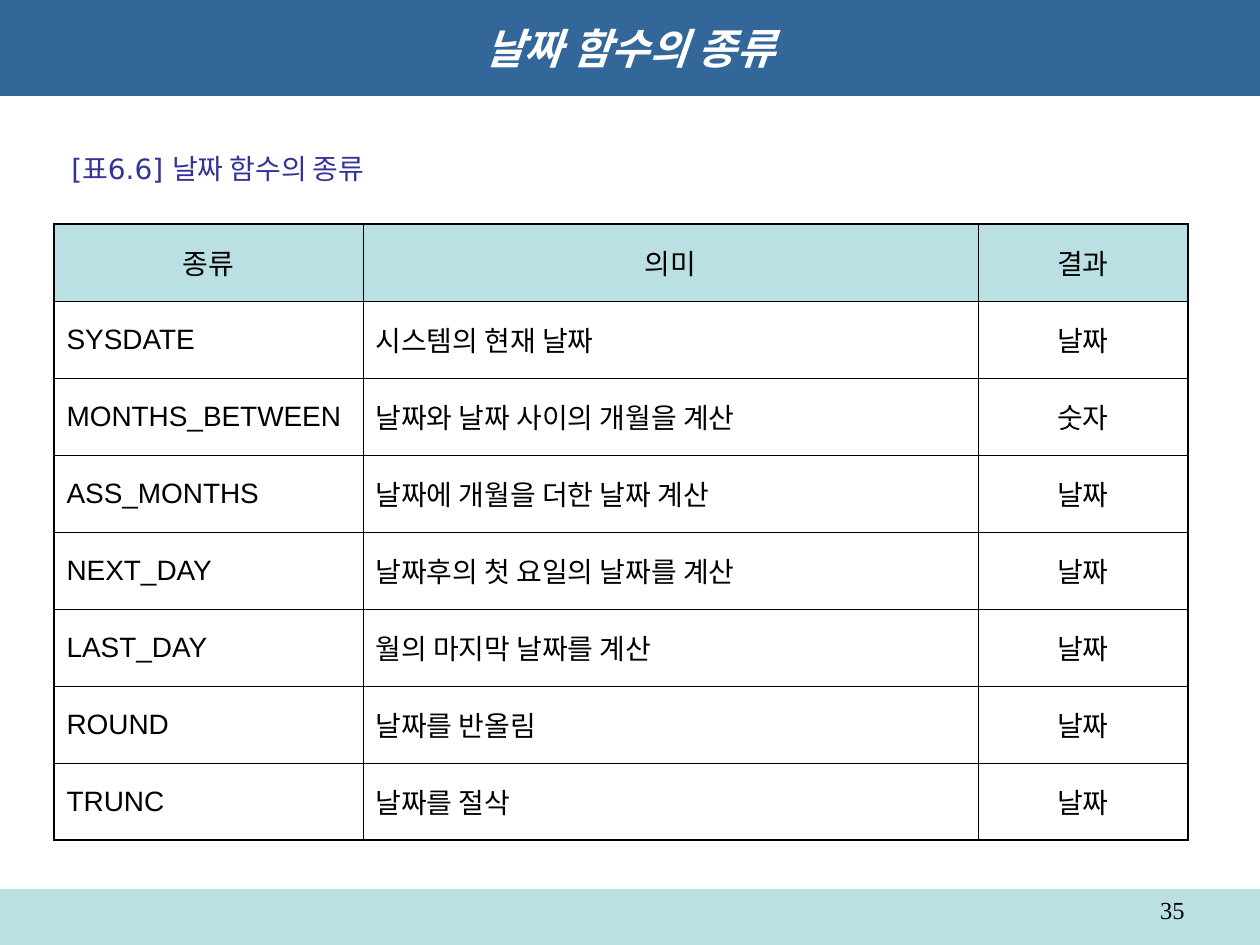
from lxml import etree
from pptx import Presentation
from pptx import util as u
from pptx.dml.color import RGBColor
from pptx.enum import shapes, text
from pptx.oxml.ns import qn

BLUE = RGBColor(0x33, 0x66, 0x99)
PALE = RGBColor(0xBB, 0xE0, 0xE3)
INDIGO = RGBColor(0x33, 0x33, 0x99)
BLACK = RGBColor(0, 0, 0)
WHITE = RGBColor(255, 255, 255)
LEFT, CENTER, RIGHT = text.PP_ALIGN.LEFT, text.PP_ALIGN.CENTER, text.PP_ALIGN.RIGHT
MIDDLE, TOP = text.MSO_ANCHOR.MIDDLE, text.MSO_ANCHOR.TOP

ROWS = [
    ("종류", "의미", "결과"),
    ("SYSDATE", "시스템의 현재 날짜", "날짜"),
    ("MONTHS_BETWEEN", "날짜와 날짜 사이의 개월을 계산", "숫자"),
    ("ASS_MONTHS", "날짜에 개월을 더한 날짜 계산", "날짜"),
    ("NEXT_DAY", "날짜후의 첫 요일의 날짜를 계산", "날짜"),
    ("LAST_DAY", "월의 마지막 날짜를 계산", "날짜"),
    ("ROUND", "날짜를 반올림", "날짜"),
    ("TRUNC", "날짜를 절삭", "날짜"),
]


def px(n):
    return u.Inches(n / 126)


class Deck:
    body_font, heading_font, number_font = "Arial", "DejaVu Sans", "Times New Roman"
    inner, outer = u.Pt(0.45), u.Pt(1.08)

    def __init__(self, prs):
        self.s = prs.slides.add_slide(prs.slide_layouts[5])

    def add_words(self, tf, words, font, size, color, align, bold=False, italic=False):
        p = tf.paragraphs[0]
        p.alignment = align
        r = p.add_run()
        r.text = words
        f = r.font
        f.name, f.size, f.bold, f.italic = font, u.Pt(size), bold, italic
        f.color.rgb = color

    def bar(self, x, y, w, h, color):
        sp = self.s.shapes.add_shape(shapes.MSO_SHAPE.RECTANGLE, px(x), px(y), px(w), px(h))
        sp.shadow.inherit = False
        sp.fill.solid()
        sp.fill.fore_color.rgb = color
        sp.line.fill.background()

    def title(self, x, y, w, h, words):
        sp = self.s.shapes.title
        sp.left, sp.top, sp.width, sp.height = px(x), px(y), px(w), px(h)
        sp.fill.solid()
        sp.fill.fore_color.rgb = BLUE
        tf = sp.text_frame
        tf.auto_size = text.MSO_AUTO_SIZE.NONE
        tf.vertical_anchor = MIDDLE
        self.add_words(tf, words, self.heading_font, 24, WHITE, CENTER, True, True)

    def label(self, x, y, w, h, words, font, size, color, align, anchor, wrap):
        tf = self.s.shapes.add_textbox(px(x), px(y), px(w), px(h)).text_frame
        tf.word_wrap = wrap
        tf.vertical_anchor = anchor
        self.add_words(tf, words, font, size, color, align)

    def borders(self, cell, widths):
        tc_pr = cell._tc.get_or_add_tcPr()
        for i, (side, width) in enumerate(zip("LRTB", widths)):
            ln = etree.Element(qn(f"a:ln{side}"), w=str(width))
            fill = etree.SubElement(ln, qn("a:solidFill"))
            etree.SubElement(fill, qn("a:srgbClr"), val=str(BLACK))
            tc_pr.insert(i, ln)

    def table(self, x, y, widths, row_height, rows):
        last_row, last_col = len(rows) - 1, len(widths) - 1
        frame = self.s.shapes.add_table(len(rows), len(widths), px(x), px(y),
                                        px(sum(widths)), px(row_height * len(rows)))
        table = frame.table
        table.first_row = table.horz_banding = False
        for column, width in zip(table.columns, widths):
            column.width = px(width)
        for i, row in enumerate(rows):
            for j, words in enumerate(row):
                cell = table.cell(i, j)
                cell.vertical_anchor = MIDDLE
                if i == 0:
                    cell.fill.solid()
                    cell.fill.fore_color.rgb = PALE
                else:
                    cell.fill.background()
                align = CENTER if i == 0 or j == last_col else LEFT
                self.add_words(cell.text_frame, words, self.body_font, 16, BLACK, align)
                edges = (j == 0, j == last_col, i == 0, i == last_row)
                self.borders(cell, [self.outer if e else self.inner for e in edges])


def main():
    prs = Presentation()
    prs.slide_width, prs.slide_height = px(1260), px(945)
    deck = Deck(prs)
    deck.bar(0, 889, 1260, 56, PALE)
    deck.title(0, 0, 1260, 96, "날짜 함수의 종류")
    deck.table(54, 224, (309, 615, 210), 77, ROWS)
    deck.label(59, 145, 340, 47, "[표6.6] 날짜 함수의 종류",
               deck.heading_font, 16, INDIGO, LEFT, MIDDLE, False)
    deck.label(903, 889, 294, 37, "35", deck.number_font, 14, BLACK, RIGHT, TOP, True)
    prs.save("out.pptx")


if __name__ == "__main__":
    main()
